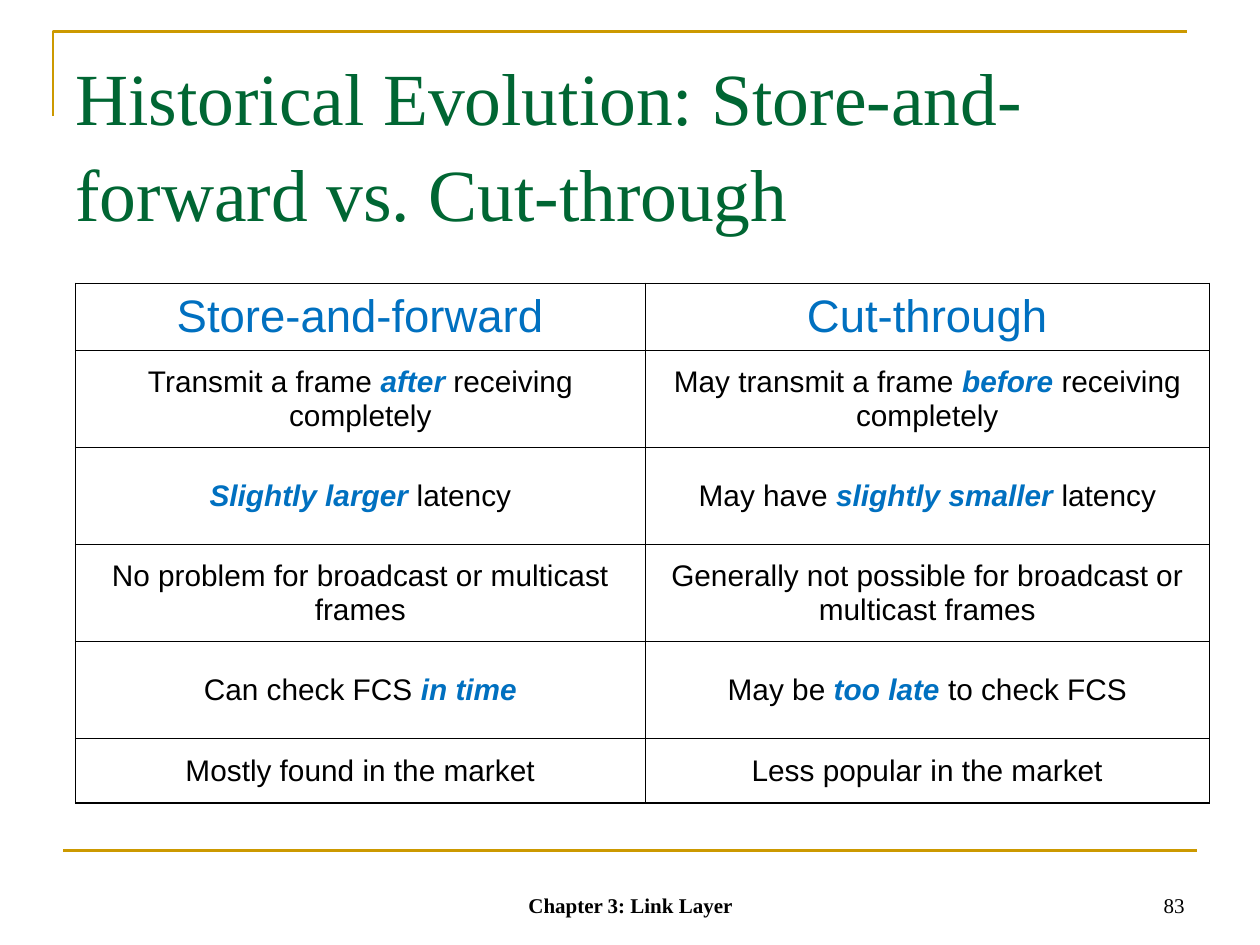
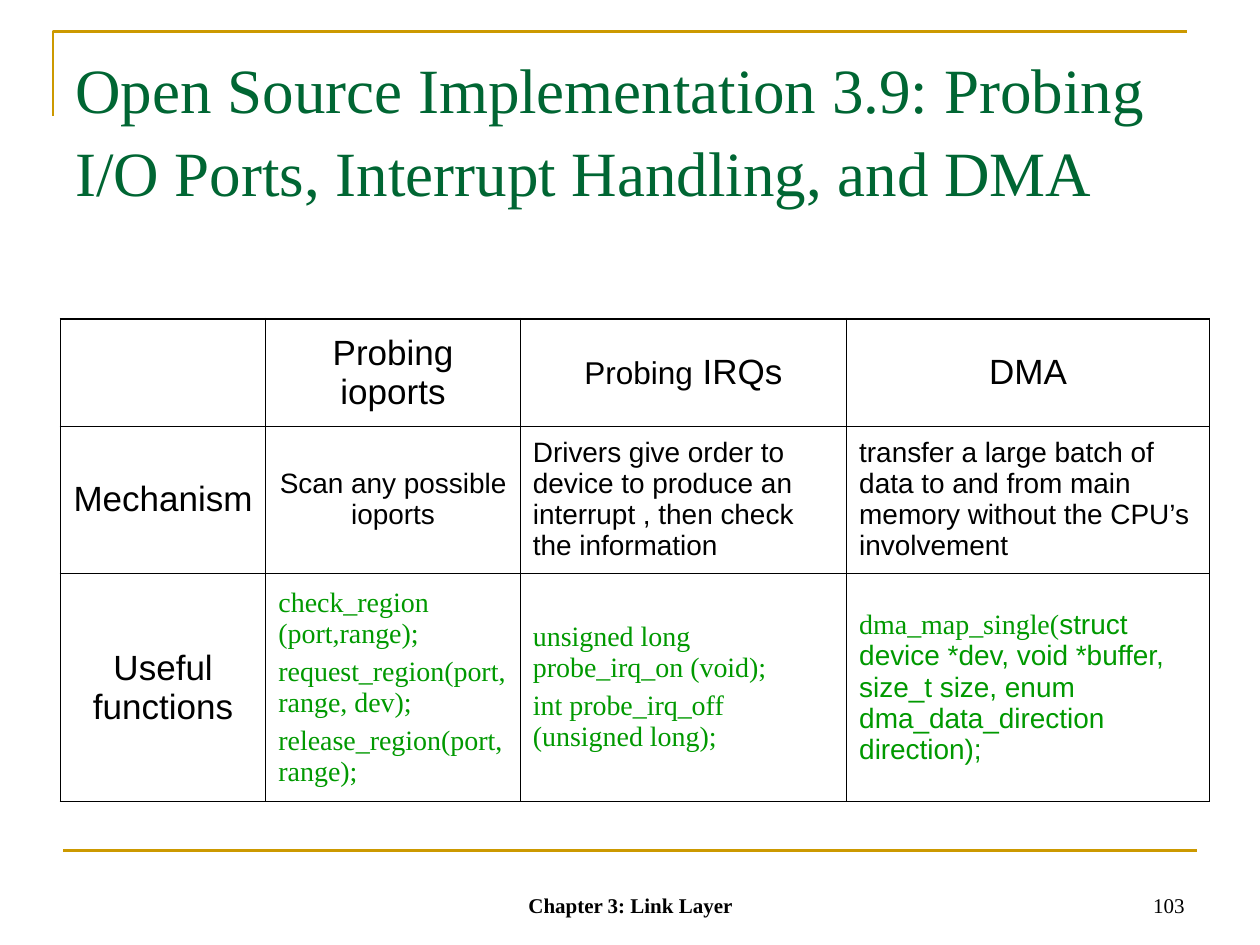
from lxml import etree
from pptx import Presentation
from pptx.dml.color import RGBColor
from pptx.enum.shapes import MSO_CONNECTOR
from pptx.enum.text import MSO_ANCHOR as ANCHOR, PP_ALIGN as ALIGN
from pptx.oxml.ns import qn
from pptx.util import Inches, Pt

GOLD = RGBColor(0xCC, 0x99, 0x00)
DARK_GREEN = RGBColor(0x00, 0x66, 0x33)
CODE_GREEN = RGBColor(0x00, 0x99, 0x00)
BLUE = RGBColor(0x00, 0x70, 0xC0)
BLACK = RGBColor(0x00, 0x00, 0x00)
SERIF, SANS = "Times New Roman", "Arial"
OUTER_WIDTH, INNER_WIDTH = Pt(1.08), Pt(0.45)

EMPHASIS = dict(color=BLUE, bold=True, italic=True)
HEADING = dict(size=20, align=ALIGN.CENTER)
BODY = dict(size=16)
CODE = dict(size=16, font=SERIF, color=CODE_GREEN)


def write(frame, paragraphs, align=ALIGN.LEFT, anchor=ANCHOR.TOP,
          line_spacing=1.0, gap=0, **style):
    """Fill a frame; each paragraph is a string or a list of (text, style) spans."""
    frame.word_wrap = True
    frame.vertical_anchor = anchor
    for index, spans in enumerate(paragraphs):
        para = frame.add_paragraph() if index else frame.paragraphs[0]
        para.alignment = align
        para.line_spacing = line_spacing
        para.space_before = Pt(gap if index else 0)
        if isinstance(spans, str):
            spans = [(spans, {})]
        for text, changes in spans:
            add_span(para, text, **{**style, **changes})


def add_span(para, text, size=16, font=SANS, color=BLACK, bold=False, italic=False):
    span = para.add_run()
    span.text = text
    span.font.size = Pt(size)
    span.font.name = font
    span.font.color.rgb = color
    span.font.bold = bold
    span.font.italic = italic


def add_text(page, box, text, **style):
    frame = page.shapes.add_textbox(*map(Inches, box)).text_frame
    write(frame, [text], **style)


def add_rules(page):
    """Draw the gold corner at the top and the gold line above the footer."""
    left, top, right, bottom = map(Inches, (0.42, 0.25, 9.42, 0.92))
    builder = page.shapes.build_freeform(left, bottom)
    builder.add_line_segments([(left, top), (right, top)], close=False)
    corner = builder.convert_to_shape()
    corner.fill.background()
    corner.shadow.inherit = False
    rule = page.shapes.add_connector(
        MSO_CONNECTOR.STRAIGHT, *map(Inches, (0.5, 6.75, 9.5, 6.75)))
    etree.SubElement(rule._element.spPr, qn("a:effectLst"))
    for shape in (corner, rule):
        shape.line.color.rgb = GOLD
        shape.line.width = Pt(1.5)


def add_page(deck, title, title_size, number):
    page = deck.slides.add_slide(deck.slide_layouts[6])
    add_rules(page)
    add_text(page, (0.5, 0.3, 9, 1.25), title, size=title_size,
             font=SERIF, color=DARK_GREEN, line_spacing=1.09)
    footer = dict(size=12, font=SERIF, anchor=ANCHOR.BOTTOM)
    add_text(page, (3.42, 6.83, 3.17, 0.5), "Chapter 3: Link Layer",
             align=ALIGN.CENTER, bold=True, **footer)
    add_text(page, (7.17, 6.83, 2.33, 0.5), number, align=ALIGN.RIGHT, **footer)
    return page


def set_borders(cell, outer_sides):
    """Draw the four borders, with thicker ones on the table's edge."""
    properties = cell._tc.get_or_add_tcPr()
    for index, side in enumerate(("lnL", "lnR", "lnT", "lnB")):
        width = OUTER_WIDTH if side in outer_sides else INNER_WIDTH
        line = etree.Element(qn(f"a:{side}"), w=str(width))
        fill = etree.SubElement(line, qn("a:solidFill"))
        etree.SubElement(fill, qn("a:srgbClr"), val=str(BLACK))
        properties.insert(index, line)


def add_grid(page, left, top, widths, heights, cells):
    """Add a table; each cell is (paragraphs, style)."""
    table = page.shapes.add_table(
        len(heights), len(widths), Inches(left), Inches(top),
        Inches(sum(widths)), Inches(sum(heights))).table
    table.first_row = table.horz_banding = False
    for column, width in zip(table.columns, widths):
        column.width = Inches(width)
    last_row, last_column = len(heights) - 1, len(widths) - 1
    for r, height in enumerate(heights):
        table.rows[r].height = Inches(height)
        for c, (paragraphs, style) in enumerate(cells[r]):
            cell = table.cell(r, c)
            cell.fill.background()
            cell.vertical_anchor = ANCHOR.MIDDLE
            edges = {"lnL": c == 0, "lnR": c == last_column,
                     "lnT": r == 0, "lnB": r == last_row}
            set_borders(cell, [side for side, outer in edges.items() if outer])
            write(cell.text_frame, paragraphs, anchor=ANCHOR.MIDDLE, gap=4, **style)


def emphasised(text):
    """Split text at bars; every second part is emphasised."""
    return [(part, EMPHASIS if index % 2 else {})
            for index, part in enumerate(text.split("|")) if part]


def add_switching_page(deck):
    page = add_page(
        deck, "Historical Evolution: Store-and-forward vs. Cut-through", 42, "83")
    comparison = [
        ("Store-and-forward", "Cut-through"),
        ("Transmit a frame |after |receiving completely",
         "May transmit a frame |before |receiving completely"),
        ("|Slightly larger |latency", "May have |slightly smaller |latency"),
        ("No problem for broadcast or multicast frames",
         "Generally not possible for broadcast or multicast frames"),
        ("Can check FCS |in time", "May be |too late |to check FCS"),
        ("Mostly found in the market", "Less popular in the market"),
    ]
    header = dict(size=26, color=BLUE, align=ALIGN.CENTER)
    body = dict(size=17, align=ALIGN.CENTER)
    cells = [[([emphasised(text)], body if r else header) for text in row]
             for r, row in enumerate(comparison)]
    add_grid(page, 0.6, 2.25, (4.52, 4.48),
             (0.53, 0.77, 0.77, 0.77, 0.77, 0.51), cells)


def add_driver_page(deck):
    page = add_page(
        deck, "Open Source Implementation 3.9: Probing I/O Ports, "
        "Interrupt Handling, and DMA", 36, "103")
    cells = [
        [([], HEADING),
         (["Probing ioports"], HEADING),
         ([[("Probing", dict(size=18)), (" IRQs", {})]], HEADING),
         (["DMA"], HEADING)],
        [(["Mechanism"], HEADING),
         (["Scan any possible ioports"], dict(BODY, align=ALIGN.CENTER)),
         (["Drivers give order to device to produce an interrupt , "
           "then check the information"], BODY),
         (["transfer a large batch of data to and from main memory "
           "without the CPU’s involvement"], BODY)],
        [(["Useful functions"], HEADING),
         (["check_region (port,range);",
           "request_region(port,range, dev);",
           "release_region(port,range);"], CODE),
         (["unsigned long probe_irq_on (void);",
           "int probe_irq_off (unsigned long);"], CODE),
         ([[("dma_map_single(", {}),
            ("struct device *dev, void *buffer, size_t size, "
             "enum dma_data_direction direction);", dict(font=SANS))]], CODE)],
    ]
    add_grid(page, 0.48, 2.53, (1.63, 2.02, 2.59, 2.88), (0.85, 1.17, 1.8), cells)


def main():
    deck = Presentation()
    deck.slide_width, deck.slide_height = Inches(10), Inches(7.5)
    add_switching_page(deck)
    add_driver_page(deck)
    deck.save("out.pptx")


if __name__ == "__main__":
    main()
